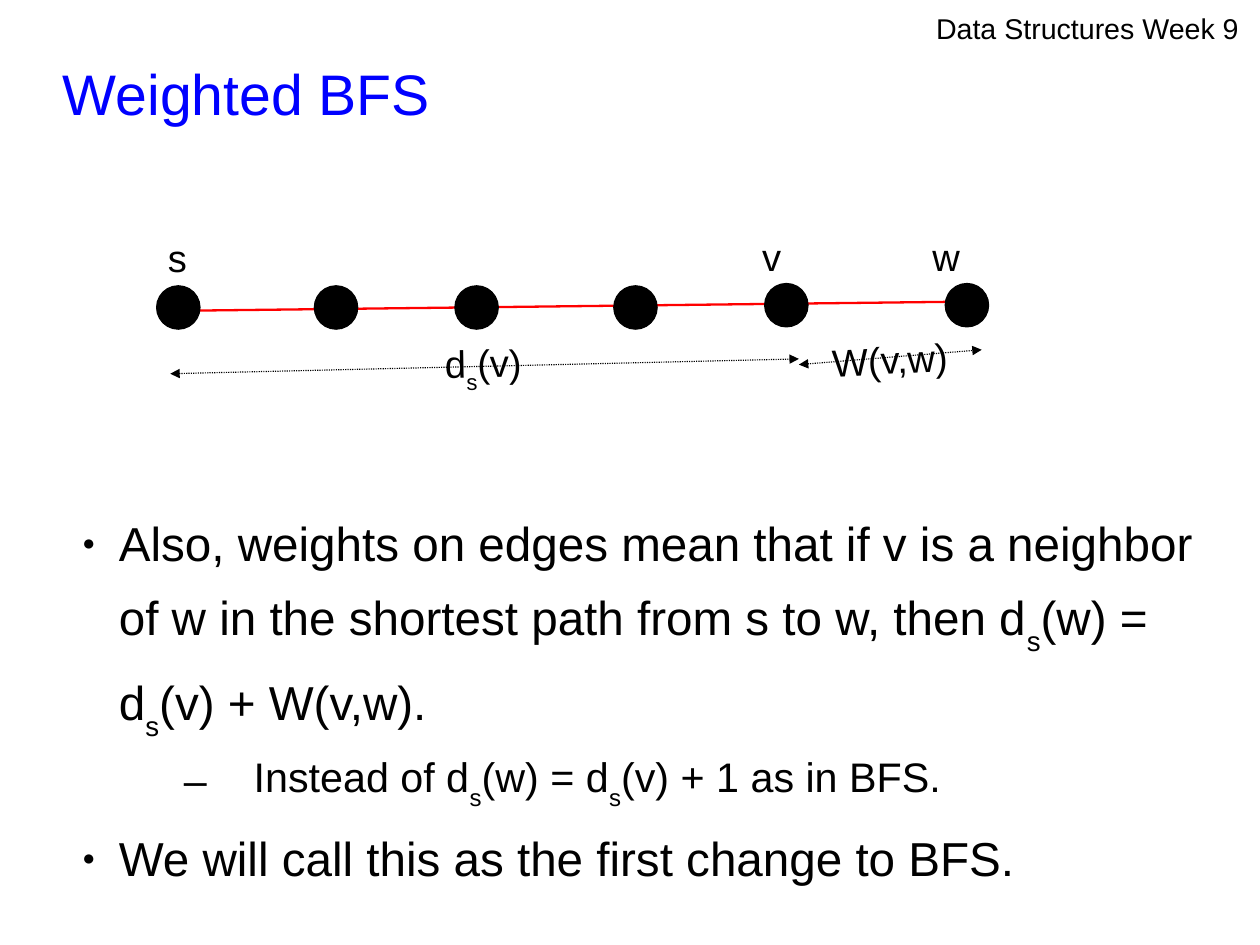
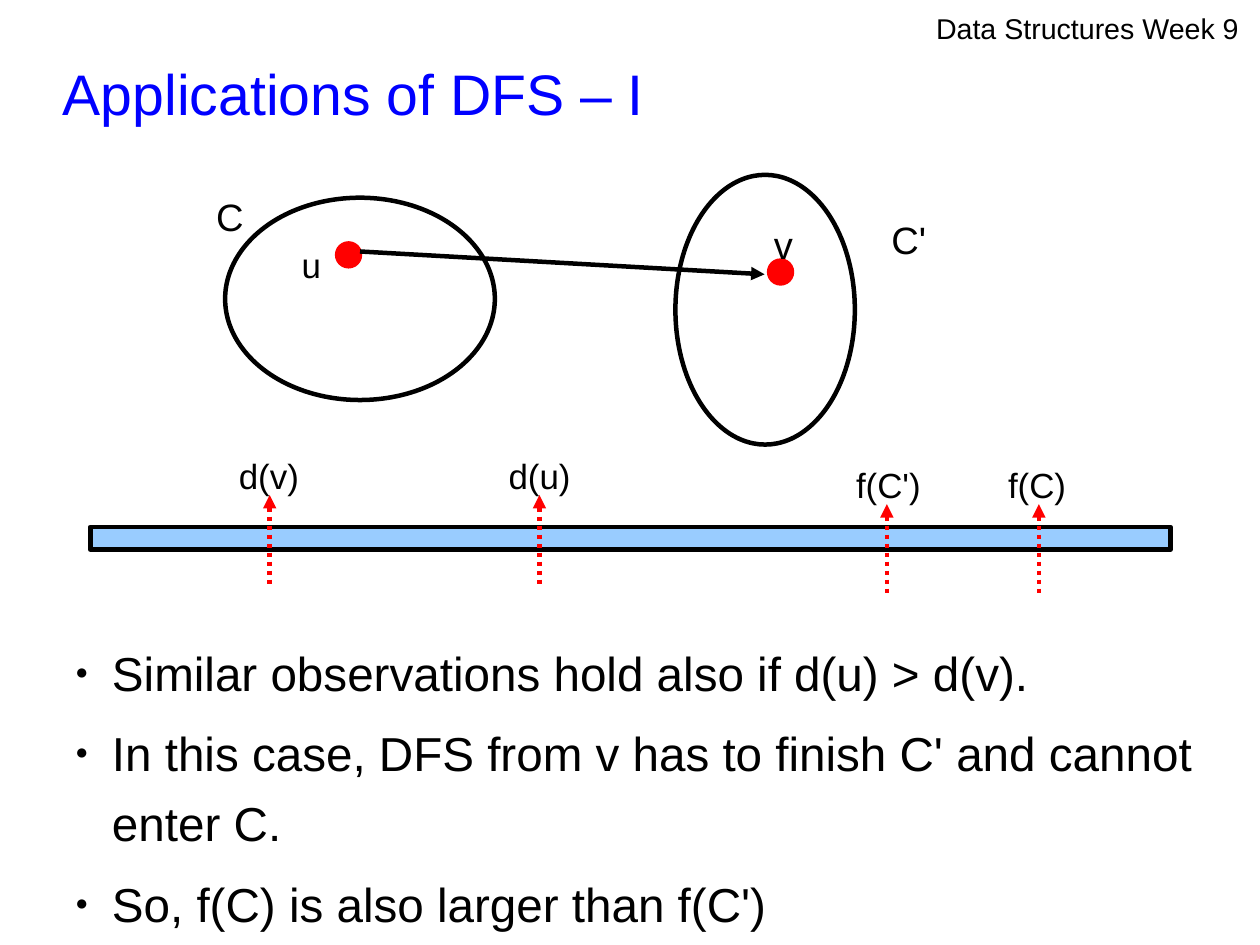
from dataclasses import dataclass

from lxml import etree
from pptx import Presentation
from pptx.dml.color import RGBColor
from pptx.enum.dml import MSO_LINE
from pptx.enum.shapes import MSO_CONNECTOR, MSO_SHAPE
from pptx.enum.text import MSO_ANCHOR, MSO_AUTO_SIZE, PP_ALIGN
from pptx.oxml.ns import qn
from pptx.util import Emu, Pt

OVAL, RECT = MSO_SHAPE.OVAL, MSO_SHAPE.RECTANGLE
STRAIGHT = MSO_CONNECTOR.STRAIGHT
DOTTED = MSO_LINE.ROUND_DOT
MIDDLE, TOP = MSO_ANCHOR.MIDDLE, MSO_ANCHOR.TOP
LEFT, CENTER = PP_ALIGN.LEFT, PP_ALIGN.CENTER
PX = 9144  # 100 px to the inch


@dataclass(frozen=True)
class Theme:
    font: str = "Arial"
    black: RGBColor = RGBColor(0, 0, 0)
    blue: RGBColor = RGBColor(0, 0, 255)
    red: RGBColor = RGBColor(255, 0, 0)
    sky: RGBColor = RGBColor(0x99, 0xCC, 0xFF)
    title: int = 36
    body: int = 30
    sub: int = 26
    label: int = 24
    small: int = 22
    head: int = 18
    thin: float = 0.75
    edge: float = 1.45
    thick: float = 2.83
    lead: float = 1.24


T = Theme()


def write(frame, lines, size, ink=T.black, inset=(0, 0), lead=None,
          anchor=TOP, align=LEFT):
    """Fill a frame; parts between underscores are subscripts."""
    frame.word_wrap = True
    frame.auto_size = MSO_AUTO_SIZE.NONE
    frame.vertical_anchor = anchor
    frame.margin_left = frame.margin_right = Emu(inset[0] * PX)
    frame.margin_top = frame.margin_bottom = Emu(inset[1] * PX)
    for i, line in enumerate(lines):
        para = frame.paragraphs[0] if i == 0 else frame.add_paragraph()
        para.alignment = align
        if lead:
            para.line_spacing = lead
        for j, part in enumerate(line.split("_")):
            run = para.add_run()
            run.text = part
            run.font.name, run.font.size = T.font, Pt(size)
            run.font.color.rgb = ink
            if j % 2:
                run.font._element.set("baseline", "-33000")


def wire(page, ends, ink, width, heads=(), dash=None):
    """Draw a straight line; heads lists headEnd (start) and tailEnd (end)."""
    link = page.shapes.add_connector(STRAIGHT, *(Emu(n * PX) for n in ends))
    link.line.color.rgb = ink
    link.line.width = Pt(width)
    if dash:
        link.line.dash_style = dash
    pen = link.line._get_or_add_ln()
    for name in heads:
        etree.SubElement(pen, qn("a:" + name), type="triangle")
    etree.SubElement(link._element.spPr, qn("a:effectLst"))


# Slide of 28 by 21 cm, to the exact unit
deck = Presentation()
deck.slide_width, deck.slide_height = Emu(10080625), Emu(7559675)

# Pages: title, body box, body lines with their level
pages = []
for title, box, lines in [
    ("Weighted BFS", (61, 438, 989, 362), [
        (0, "Also, weights on edges mean that if v is a neighbor of w in the "
            "shortest path from s to w, then d_s_(w) = d_s_(v) + W(v,w)."),
        (1, "Instead of d_s_(w) = d_s_(v) + 1 as in BFS."),
        (0, "We will call this as the first change to BFS."),
    ]),
    ("Applications of DFS – I", (55, 551, 1008, 276), [
        (0, "Similar observations hold also if d(u) > d(v)."),
        (0, "In this case, DFS from v has to finish C' and cannot enter C."),
        (0, "So, f(C) is also larger than f(C')"),
    ]),
]:
    page = deck.slides.add_slide(deck.slide_layouts[5])
    pages.append(page)
    name = page.shapes.title
    name.left, name.top, name.width, name.height = (
        Emu(n * PX) for n in (55, 37, 989, 74))
    write(name.text_frame, [title], T.title, T.blue, lead=T.lead, anchor=MIDDLE)

    head = page.shapes.add_textbox(*(Emu(n * PX) for n in (819, 10, 271, 33)))
    write(head.text_frame, ["Data Structures Week 9"], T.head)

    body = page.shapes.add_textbox(*(Emu(n * PX) for n in box)).text_frame
    write(body, [line for _, line in lines], T.body)
    for para, (level, _) in zip(body.paragraphs, lines):
        para.level = level
        para.line_spacing = None if level else T.lead
        para.space_after = Pt(2.9 if level else 5.8)
        left, hang, mark = (161, 61, "–") if level else (43, 32, "●")
        prop = para._p.get_or_add_pPr()
        prop.set("marL", str(left * PX))
        prop.set("indent", str(-hang * PX))
        tint = etree.SubElement(prop, qn("a:buClr"))
        etree.SubElement(tint, qn("a:srgbClr"), val=str(T.black))
        if not level:
            etree.SubElement(prop, qn("a:buSzPct"), val="45000")
        etree.SubElement(prop, qn("a:buFont"), typeface=T.font)
        etree.SubElement(prop, qn("a:buChar"), char=mark)
        if level:
            for run in para.runs:
                run.font.size = Pt(T.sub)
bfs, dfs = pages

# Path behind its nodes
wire(bfs, (150, 272, 837, 264), T.red, T.edge)

# Nodes, components and time bar
nodes = [(137, 250), (275, 250), (398, 250), (537, 250), (669, 248), (827, 248)]
forms = [(bfs, OVAL, (x, y, 38, 38), T.black, T.black, T.thin) for x, y in nodes]
forms += [
    (dfs, OVAL, (197, 173, 236, 177), None, T.black, T.thick),
    (dfs, OVAL, (591, 153, 157, 236), None, T.black, T.thick),
    (dfs, OVAL, (295, 213, 20, 20), T.red, T.red, T.thick),
    (dfs, OVAL, (673, 228, 20, 20), T.red, T.red, T.thick),
    (dfs, RECT, (79, 461, 945, 20), T.sky, T.black, T.thick),
]
for page, kind, box, fill, ink, width in forms:
    form = page.shapes.add_shape(kind, *(Emu(n * PX) for n in box))
    form.shadow.inherit = False
    if fill is None:
        form.fill.background()
    else:
        form.fill.solid()
        form.fill.fore_color.rgb = fill
    form.line.color.rgb = ink
    form.line.width = Pt(width)

# Distance spans and the edge between components
for ends in [(149, 327, 699, 314), (699, 319, 859, 306)]:
    wire(bfs, ends, T.black, T.thin, ("headEnd", "tailEnd"), DOTTED)
wire(dfs, (315, 220, 669, 240), T.black, T.thick, ("tailEnd",))

# Labels of the two drawings
tags = [
    (bfs, "s", (137, 200, 50, 50), T.label, 0),
    (bfs, "v", (657, 199, 50, 50), T.label, 0),
    (bfs, "w", (806, 199, 50, 50), T.label, 0),
    (bfs, "d_s_(v)", (148, 292, 550, 58), T.label, -1),
    (bfs, "W(v,w)", (698, 289, 161, 50), T.label, -3),
    (dfs, "u", (252, 197, 59, 59), T.small, 0),
    (dfs, "v", (665, 177, 59, 63), T.label, 0),
    (dfs, "C", (177, 153, 79, 63), T.label, 0),
    (dfs, "C'", (768, 173, 79, 63), T.label, 0),
]

# Time marks, each with its label above
for text, x, y, wide in [("d(v)", 236, 433, 79), ("d(u)", 472, 433, 79),
                         ("f(C')", 776, 441, 91), ("f(C)", 909, 441, 91)]:
    wire(dfs, (x, y, x, y + 79), T.red, T.thick, ("headEnd",), DOTTED)
    tags.append((dfs, text, (x - 39, y - 51, wide, 59), T.small, 0))

for page, text, box, size, turn in tags:
    tag = page.shapes.add_textbox(*(Emu(n * PX) for n in box))
    tag.rotation = turn
    write(tag.text_frame, [text], size,
          inset=(10, 5) if page is bfs else (12, 7),
          lead=None if page is bfs else T.lead,
          anchor=MIDDLE if turn else TOP, align=CENTER if turn else LEFT)

deck.save("out.pptx")
